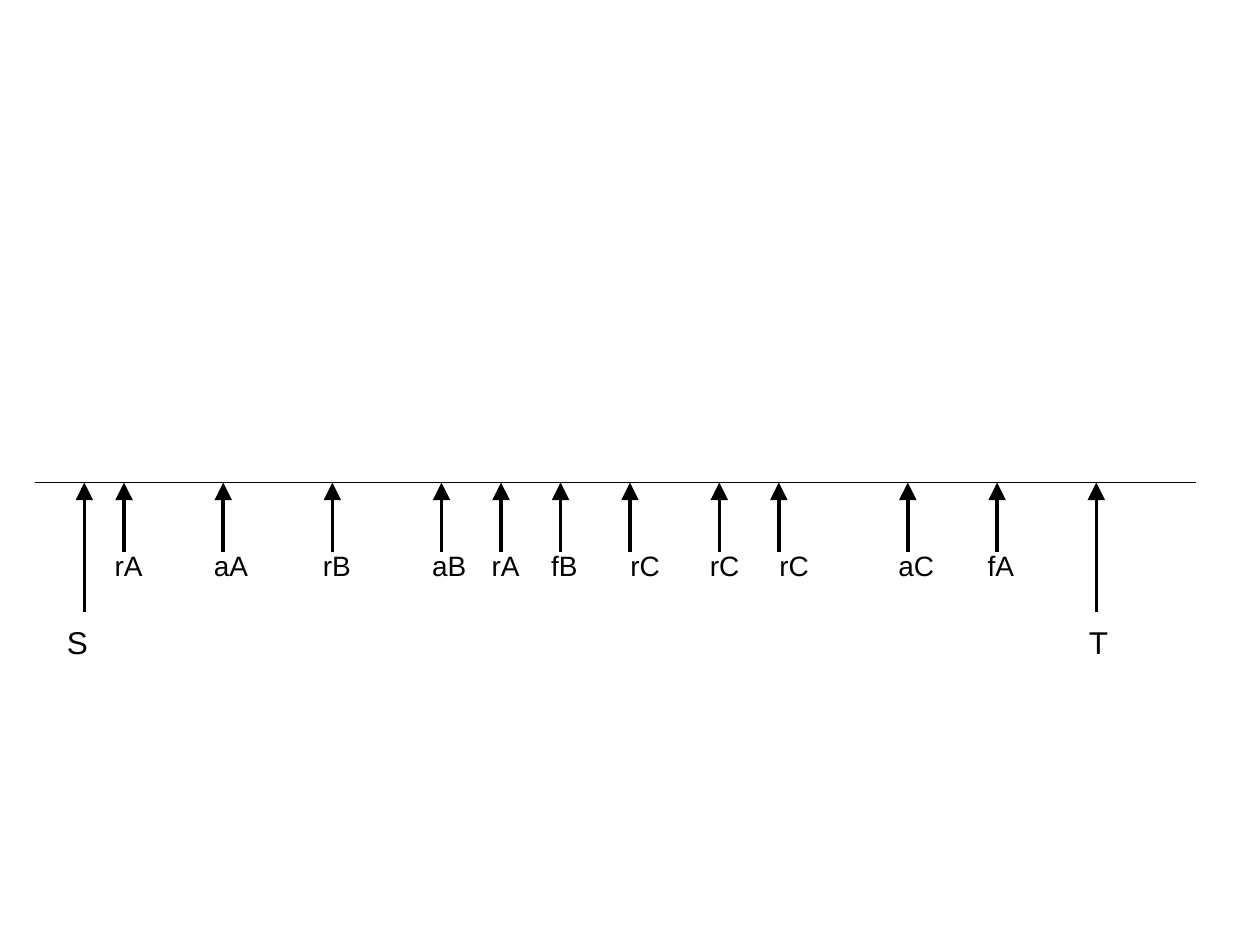
"""Draw a timeline of events marked by arrows on a 0.2 cm grid."""
from dataclasses import dataclass

import pptx
import pptx.dml.color
import pptx.enum.shapes
import pptx.enum.text
import pptx.oxml
import pptx.oxml.ns
import pptx.util

COLORS = {"ink": "000000", "paper": "FFFFFF"}
FONT = "Arial"
UNIT = pptx.util.Cm(0.2)
LEFT = pptx.util.Cm(1.7)
AXIS_TOP = pptx.util.Inches(3.83)
AXIS_START, AXIS_END = -5, 112
LABEL_COLS = {"S": 4.6, "T": 4.5, "rA": 5.45, "aA": 6, "rB": 5.45,
              "aB": 6, "fB": 5.25, "rC": 5.5, "aC": 6.1, "fA": 5.25}


@dataclass(frozen=True)
class Level:
    """Rows below the axis and text size shared by a kind of mark."""
    tail_row: float
    label_row: float
    label_rows: float
    size: int


@dataclass(frozen=True)
class Mark:
    """One labelled arrow; shift is the label's offset in columns."""
    text: str
    col: float
    level: Level
    shift: float = -2.2


EVENT = Level(7, 6, 4.7, 16)
BOUND = Level(13, 13.5, 5.1, 18)
MARKS = [
    Mark("S", 0, BOUND, -3),
    Mark("T", 102, BOUND, -2),
    Mark("rA", 4, EVENT),
    Mark("aA", 14, EVENT),
    Mark("rB", 25, EVENT),
    Mark("aB", 36, EVENT),
    Mark("rA", 42, EVENT),
    Mark("fB", 48, EVENT),
    Mark("rC", 55, EVENT, -1.2),
    Mark("rC", 64, EVENT),
    Mark("rC", 70, EVENT, -1.2),
    Mark("aC", 83, EVENT),
    Mark("fA", 92, EVENT),
]


def x_at(col: float) -> int:
    """Return the horizontal position of a column."""
    return int(LEFT + col * UNIT)


def y_at(row: float) -> int:
    """Return the vertical position of a row below the axis."""
    return int(AXIS_TOP + row * UNIT)


def add_line(s, start: tuple, end: tuple, width: float, arrow: bool = False) -> None:
    """Draw a line between two (column, row) points."""
    sp = s.shapes.add_connector(
        pptx.enum.shapes.MSO_CONNECTOR.STRAIGHT,
        x_at(start[0]), y_at(start[1]), x_at(end[0]), y_at(end[1]))
    sp.line.color.rgb = pptx.dml.color.RGBColor.from_string(COLORS["ink"])
    sp.line.width = pptx.util.Pt(width)
    if arrow:
        ln = sp.line._get_or_add_ln()
        ln.append(pptx.oxml.parse_xml(
            f'<a:tailEnd {pptx.oxml.ns.nsdecls("a")} type="triangle" w="lg" len="lg"/>'))
    sp._element.spPr.append(pptx.oxml.parse_xml(
        f'<a:effectLst {pptx.oxml.ns.nsdecls("a")}/>'))


def add_label(s, mark: Mark) -> None:
    """Write the label under a mark's arrow."""
    level = mark.level
    sp = s.shapes.add_textbox(
        x_at(mark.col + mark.shift), y_at(level.label_row),
        int(LABEL_COLS[mark.text] * UNIT), int(level.label_rows * UNIT))
    tf = sp.text_frame
    tf.word_wrap = False
    tf.auto_size = pptx.enum.text.MSO_AUTO_SIZE.SHAPE_TO_FIT_TEXT
    r = tf.paragraphs[0].add_run()
    r.text = mark.text
    r.font.name = FONT
    r.font.size = pptx.util.Pt(level.size)
    r.font.color.rgb = pptx.dml.color.RGBColor.from_string(COLORS["ink"])


def main() -> None:
    """Build and save the slide."""
    prs = pptx.Presentation()
    prs.slide_width = pptx.util.Inches(10)
    prs.slide_height = pptx.util.Inches(7.5)
    s = prs.slides.add_slide(prs.slide_layouts[6])
    fill = s.background.fill
    fill.solid()
    fill.fore_color.rgb = pptx.dml.color.RGBColor.from_string(COLORS["paper"])
    for mark in MARKS:
        add_line(s, (mark.col, mark.level.tail_row), (mark.col, 0), 2, arrow=True)
    add_line(s, (AXIS_START, 0), (AXIS_END, 0), 0.75)
    for mark in MARKS:
        add_label(s, mark)
    prs.save("out.pptx")


if __name__ == "__main__":
    main()
